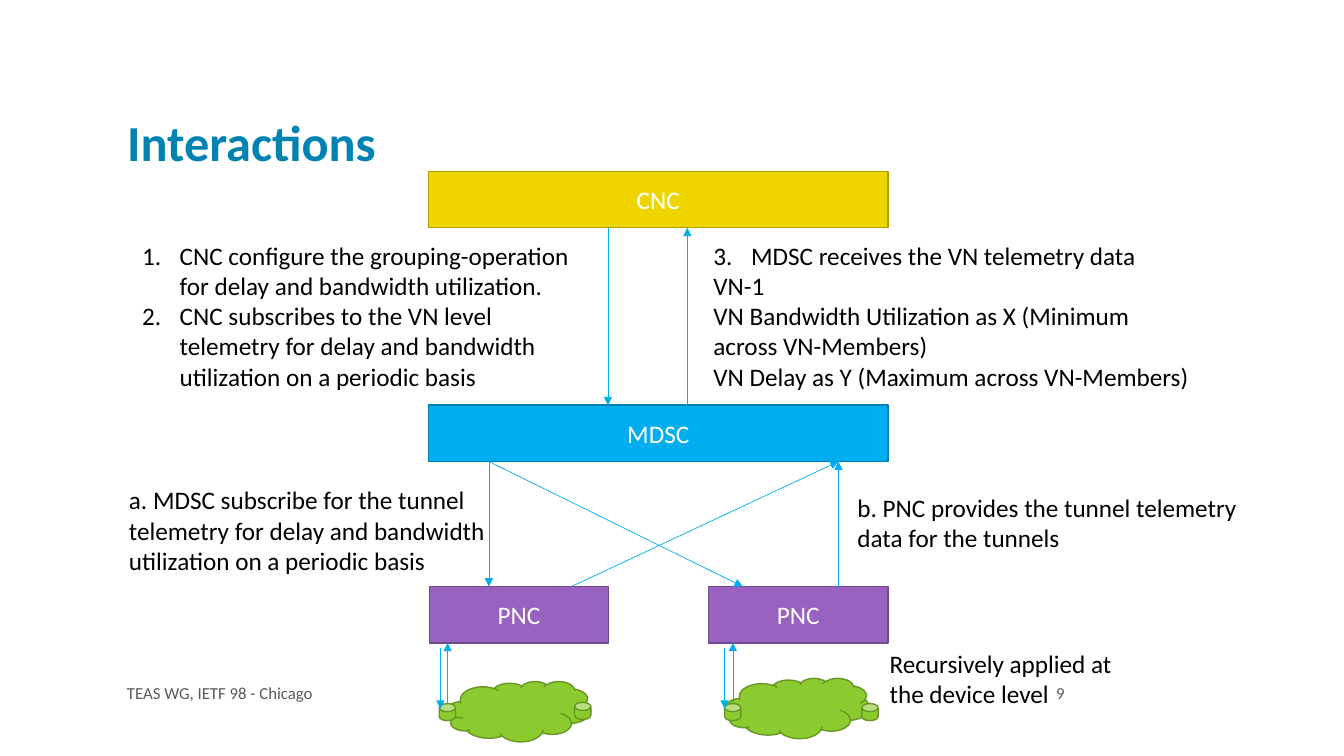
"""Builds the slide on interactions between CNC, MDSC and PNC."""
import pptx
import pptx.util
import pptx.dml.color
import pptx.enum.shapes
import pptx.enum.text
import pptx.oxml.ns
import lxml.etree

Cm = pptx.util.Cm
Pt = pptx.util.Pt
SHAPE = pptx.enum.shapes.MSO_SHAPE
ALIGN = pptx.enum.text.PP_ALIGN
ANCHOR = pptx.enum.text.MSO_ANCHOR
FIT = pptx.enum.text.MSO_AUTO_SIZE

HUES = {
    "title": "0083B3", "text": "000000", "foot": "595959", "white": "FFFFFF",
    "blue": "00AEEF", "navy": "0081B1", "gold": "EED500", "ochre": "B09E00",
    "plum": "9962C1", "grape": "71498F", "green": "8BCB30", "moss": "679624",
}


def hue(name):
    return pptx.dml.color.RGBColor.from_string(HUES[name])


def apply(item, form):
    for key, value in form.items():
        setattr(item, key, value)


def write(shape, lines, color="text", size=18, frame=None, para=None, bold=False):
    body = shape.text_frame
    apply(body, {"word_wrap": True, "auto_size": FIT.NONE, **(frame or {})})
    body.text = "\n".join(lines)
    for part in body.paragraphs:
        apply(part, para or {})
        for run in part.runs:
            apply(run.font, {"name": "Calibri", "size": Pt(size), "bold": bold})
            run.font.color.rgb = hue(color)


def number(part, start=1):
    props = part._p.get_or_add_pPr()
    apply_indent = {"marL": str(Cm(0.95)), "indent": str(-Cm(0.95))}
    for key, value in apply_indent.items():
        props.set(key, value)
    mark = lxml.etree.SubElement(props, pptx.oxml.ns.qn("a:buAutoNum"))
    mark.set("type", "arabicPeriod")
    if start > 1:
        mark.set("startAt", str(start))


def add_title(slide, text):
    title = slide.shapes.title
    apply(title, {"left": Cm(2.95), "top": Cm(1.47),
                  "width": Cm(24.13), "height": Cm(2.97)})
    write(title, [text], "title", 36, {"vertical_anchor": ANCHOR.BOTTOM},
          {"alignment": ALIGN.LEFT, "line_spacing": 0.8}, True)


def add_note(slide, box, lines, **style):
    note = slide.shapes.add_textbox(*map(Cm, box))
    write(note, lines, **style)
    return note.text_frame.paragraphs


def add_form(slide, kind, box, fill, edge):
    form = slide.shapes.add_shape(kind, *map(Cm, box))
    form.shadow.inherit = False
    form.fill.solid()
    form.fill.fore_color.rgb = hue(fill)
    form.line.color.rgb = hue(edge)
    form.line.width = Pt(1)
    return form


def add_block(slide, text, left, top, width, fill, edge):
    block = add_form(slide, SHAPE.RECTANGLE, (left, top, width, 1.42), fill, edge)
    write(block, [text], "white", frame={"vertical_anchor": ANCHOR.MIDDLE},
          para={"alignment": ALIGN.CENTER})


def add_arrow(slide, *ends):
    kind = pptx.enum.shapes.MSO_CONNECTOR.STRAIGHT
    arrow = slide.shapes.add_connector(kind, *map(Cm, ends))
    arrow.line.color.rgb = hue("blue")
    arrow.line.width = Pt(0.5)
    qn = pptx.oxml.ns.qn
    tip = lxml.etree.SubElement(arrow.line._get_or_add_ln(), qn("a:tailEnd"))
    tip.set("type", "triangle")
    lxml.etree.SubElement(arrow._element.spPr, qn("a:effectLst"))


def main():
    deck = pptx.Presentation()
    apply(deck, {"slide_width": Cm(33.87), "slide_height": Cm(19.05)})
    slide = deck.slides.add_slide(deck.slide_layouts[5])

    add_title(slide, "Interactions")
    foot = {"color": "foot", "size": 12, "frame": {"vertical_anchor": ANCHOR.MIDDLE}}
    add_note(slide, (2.95, 17.09, 15.7, 0.76), ["TEAS WG, IETF 98 - Chicago"], **foot)
    add_note(slide, (23.7, 17.09, 3.38, 0.76), ["9"],
             para={"alignment": ALIGN.RIGHT}, **foot)

    for block in (
        ("MDSC", 10.8, 10.21, 11.58, "blue", "navy"),
        ("CNC", 10.8, 4.32, 11.58, "gold", "ochre"),
        ("PNC", 10.82, 14.78, 4.52, "plum", "grape"),
        ("PNC", 17.86, 14.78, 4.52, "plum", "grape"),
    ):
        add_block(slide, *block)

    steps = add_note(slide, (3.33, 5.92, 11.4, 4.11), [
        "CNC configure the grouping-operation for delay and bandwidth utilization.",
        "CNC subscribes to the VN level telemetry for delay and bandwidth "
        "utilization on a periodic basis",
    ])
    for step in steps:
        number(step)
    reply = add_note(slide, (17.73, 5.92, 12.6, 4.11), [
        "MDSC receives the VN telemetry data",
        "VN-1",
        "VN Bandwidth Utilization as X (Minimum across VN-Members)",
        "VN Delay as Y (Maximum across VN-Members)",
    ])
    number(reply[0], 3)
    for box, text in (
        ((3, 12.09, 11.4, 2.57), "a. MDSC subscribe for the tunnel telemetry for "
         "delay and bandwidth utilization on a periodic basis"),
        ((21.36, 12.27, 10.77, 1.8),
         "b. PNC provides the tunnel telemetry data for the tunnels"),
        ((22.17, 16.2, 6.81, 1.8), "Recursively applied at the device level"),
    ):
        add_note(slide, box, [text])

    for left, top in ((11.28, 17.17), (18.31, 17.09)):
        add_form(slide, SHAPE.CLOUD, (left, top, 3.61, 1.52), "green", "moss")
    for left, top in ((11.07, 17.73), (21.72, 17.73), (14.48, 17.7), (18.26, 17.73)):
        can = add_form(slide, SHAPE.CAN, (left, top, 0.41, 0.43), "green", "moss")
        can.adjustments[0] = 0.5

    for ends in (
        (15.32, 5.74, 15.32, 10.21), (17.32, 10.21, 17.32, 5.74),
        (12.32, 11.63, 12.32, 14.78), (12.32, 11.63, 18.72, 14.78),
        (21.13, 14.78, 21.13, 11.63), (14.4, 14.78, 21.13, 11.63),
    ):
        add_arrow(slide, *ends)
    for down, up in ((11.1, 11.28), (18.26, 18.47)):
        add_arrow(slide, down, 16.33, down, 17.86)
        add_arrow(slide, up, 17.73, up, 16.2)

    deck.save("out.pptx")


if __name__ == "__main__":
    main()
